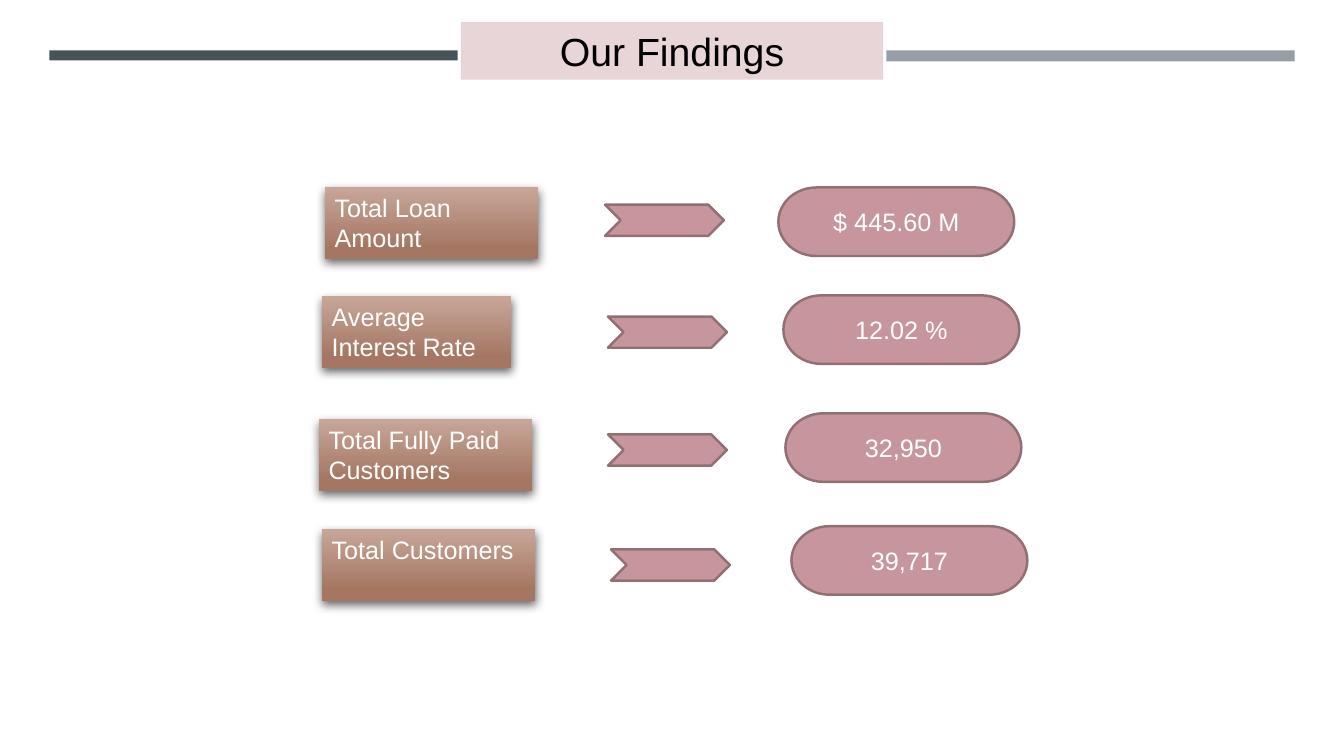
from lxml import etree
from pptx import Presentation
from pptx.dml.color import RGBColor
from pptx.enum import shapes, text
from pptx.oxml.ns import qn
from pptx.util import Inches, Pt

FONT = "Arial"
BLACK = RGBColor(0x00, 0x00, 0x00)
WHITE = RGBColor(0xFF, 0xFF, 0xFF)
SLATE = RGBColor(0x46, 0x53, 0x59)
GREY = RGBColor(0x96, 0x9F, 0xA7)
BLUSH = RGBColor(0xE8, 0xD5, 0xD7)
ROSE = RGBColor(0xC6, 0x96, 0x9C)
ROSE_EDGE = RGBColor(0x92, 0x6F, 0x73)
TAN = RGBColor(0xC7, 0xA6, 0x98)
BROWN = RGBColor(0xA5, 0x77, 0x63)

# label, label left/top/width, arrow left/top, value, value left/top
FINDINGS = [
    ("Total Loan Amount", (3.22, 1.86, 2.12), (6, 2.03), "$ 445.60 M", (7.72, 1.86)),
    ("Average Interest Rate", (3.19, 2.94, 1.88), (6.03, 3.14), "12.02 %", (7.77, 2.93)),
    ("Total Fully Paid Customers", (3.16, 4.16, 2.12), (6.03, 4.31), "32,950", (7.79, 4.1)),
    ("Total Customers", (3.19, 5.25, 2.12), (6.06, 5.45), "39,717", (7.85, 5.22)),
]


def add_block(slide, kind, left, top, width, height, fill, edge=None):
    block = slide.shapes.add_shape(
        kind, Inches(left), Inches(top), Inches(width), Inches(height))
    block.shadow.inherit = False
    block.fill.solid()
    block.fill.fore_color.rgb = fill
    if edge is None:
        block.line.fill.background()
    else:
        block.line.color.rgb = edge
        block.line.width = Pt(1.75)
    return block


def write(block, words, size, color, align, anchor):
    frame = block.text_frame
    frame.word_wrap = True
    frame.vertical_anchor = anchor
    paragraph = frame.paragraphs[0]
    paragraph.alignment = align
    run = paragraph.add_run()
    run.text = words
    run.font.name = FONT
    run.font.size = Pt(size)
    run.font.color.rgb = color


def add_drop_shadow(block):
    effects = block.element.spPr.find(qn("a:effectLst"))
    shadow = etree.SubElement(
        effects, qn("a:outerShdw"), blurRad=str(Pt(7)), dist=str(Pt(3)),
        dir=str(84 * 60000), algn="ctr", rotWithShape="0")
    tone = etree.SubElement(shadow, qn("a:srgbClr"), val=str(BLACK))
    etree.SubElement(tone, qn("a:alpha"), val="60000")


def add_label(slide, words, left, top, width):
    label = add_block(slide, shapes.MSO_SHAPE.RECTANGLE, left, top, width, 0.71, TAN)
    label.fill.gradient()
    label.fill.gradient_angle = 270
    stops = label.fill.gradient_stops
    for stop, position, color in zip(stops, (0, 0.84), (TAN, BROWN)):
        stop.position = position
        stop.color.rgb = color
    add_drop_shadow(label)
    write(label, words, 18, WHITE, text.PP_ALIGN.LEFT, text.MSO_ANCHOR.TOP)


def add_arrow(slide, left, top):
    add_block(slide, shapes.MSO_SHAPE.CHEVRON, left, top, 1.18, 0.31, ROSE, ROSE_EDGE)


def add_value(slide, words, left, top):
    value = add_block(slide, shapes.MSO_SHAPE.FLOWCHART_TERMINATOR,
                      left, top, 2.34, 0.68, ROSE, ROSE_EDGE)
    write(value, words, 18, WHITE, text.PP_ALIGN.CENTER, text.MSO_ANCHOR.MIDDLE)


def add_header(slide):
    bar = shapes.MSO_SHAPE.RECTANGLE
    add_block(slide, bar, 0.49, 0.5, 4.05, 0.1, SLATE)
    add_block(slide, bar, 8.79, 0.5, 4.05, 0.11, GREY)
    title = add_block(slide, bar, 4.57, 0.22, 4.19, 0.57, BLUSH)
    write(title, "Our Findings", 28, BLACK, text.PP_ALIGN.CENTER, text.MSO_ANCHOR.TOP)


def main():
    deck = Presentation()
    deck.slide_width = Inches(13.33)
    deck.slide_height = Inches(7.5)
    slide = deck.slides.add_slide(deck.slide_layouts[6])

    # Title between two bars
    add_header(slide)

    # One row per finding: label, arrow, value
    for label, label_box, arrow_at, value, value_at in FINDINGS:
        add_label(slide, label, *label_box)
        add_arrow(slide, *arrow_at)
        add_value(slide, value, *value_at)

    deck.save("out.pptx")


if __name__ == "__main__":
    main()
